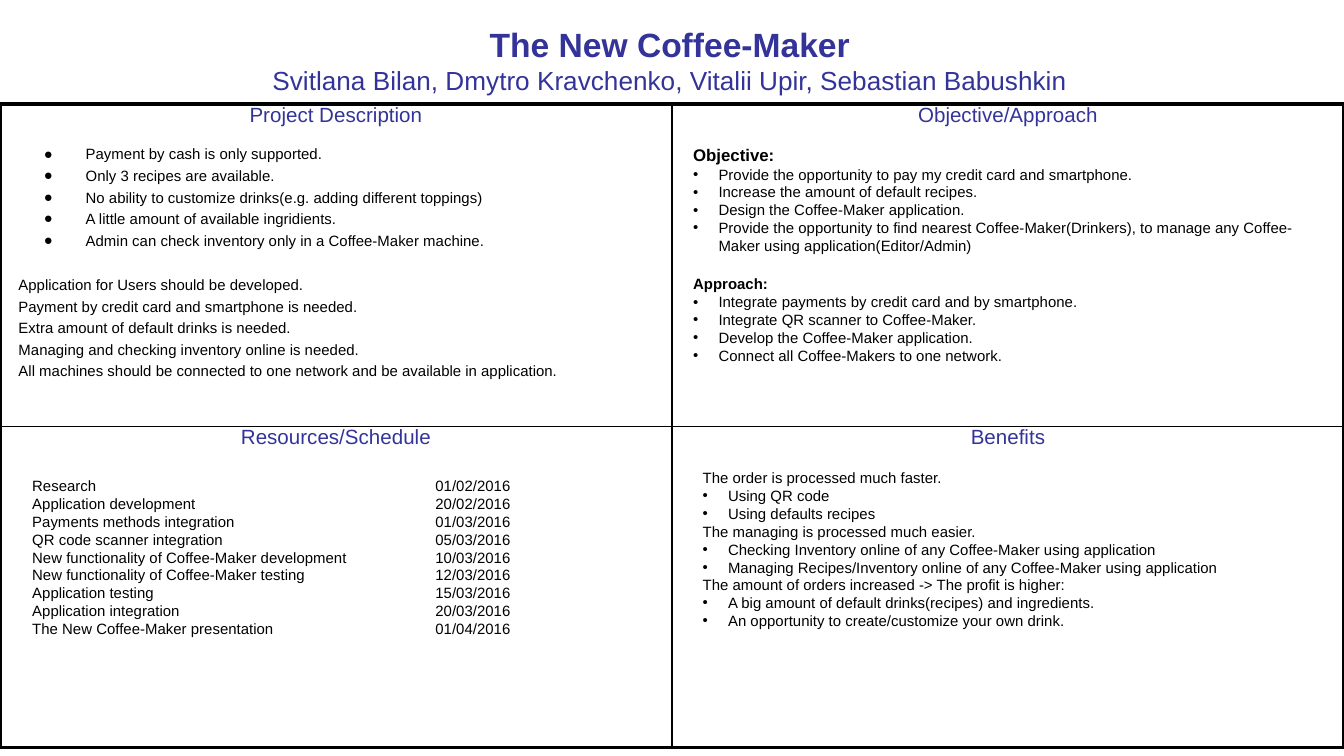
import dataclasses

import pptx
import pptx.dml.color
import pptx.enum.text
import pptx.oxml
import pptx.oxml.ns
import pptx.util
from pptx.util import Cm, Pt


@dataclasses.dataclass(frozen=True)
class Theme:
    """Colours, font and type sizes of the slide."""
    font: str = "Arial"
    accent: str = "333399"
    ink: str = "000000"
    title: int = 18
    authors: int = 14
    heading: int = 11
    objective: int = 9
    body: int = 8
    frame: float = 2.25
    divider: float = 1


@dataclasses.dataclass(frozen=True)
class Line:
    """One paragraph of a quadrant."""
    text: str
    size: int = Theme.body
    bold: bool = False
    bullet: str = ""
    hanging: tuple = (0.48, 0.48)
    before: float = 0


THEME = Theme()
CENTER = pptx.enum.text.PP_ALIGN.CENTER
QUADRANTS = [["Project Description", "Objective/Approach"],
             ["Resources/Schedule", "Benefits"]]
SCHEDULE = [
    ("Research", "01/02/2016"),
    ("Application development", "20/02/2016"),
    ("Payments methods integration", "01/03/2016"),
    ("QR code scanner integration", "05/03/2016"),
    ("New functionality of Coffee-Maker development", "10/03/2016"),
    ("New functionality of Coffee-Maker testing", "12/03/2016"),
    ("Application testing", "15/03/2016"),
    ("Application integration", "20/03/2016"),
    ("The New Coffee-Maker presentation", "01/04/2016"),
]


def bullets(*texts, **options):
    """Return bulleted lines that share the same options."""
    return [Line(text, **{"bullet": "•", **options}) for text in texts]


def add_xml(parent, tag, inner="", **attributes):
    """Append a DrawingML element to a parent."""
    listed = " ".join(f'{key}="{value}"' for key, value in attributes.items())
    namespace = pptx.oxml.ns.nsdecls("a")
    parent.append(pptx.oxml.parse_xml(
        f"<a:{tag} {namespace} {listed}>{inner}</a:{tag}>"))


def format_runs(paragraph, size, color, bold=False):
    """Give all runs of a paragraph their font."""
    for run in paragraph.runs:
        run.font.name = THEME.font
        run.font.size = Pt(size)
        run.font.bold = bold
        run.font.color.rgb = pptx.dml.color.RGBColor.from_string(color)


def set_bullet(paragraph, bullet, hanging):
    """Put a hanging bullet before a paragraph."""
    properties = paragraph._p.get_or_add_pPr()
    margin, hang = hanging
    properties.set("marL", str(Cm(margin)))
    properties.set("indent", str(-Cm(hang)))
    add_xml(properties, "buFont", typeface=THEME.font)
    add_xml(properties, "buChar", char=bullet)


def set_insets(frame, horizontal, vertical):
    """Set the margins, wrapping and anchor of a text frame."""
    frame.margin_left = frame.margin_right = Cm(horizontal)
    frame.margin_top = frame.margin_bottom = Cm(vertical)
    frame.word_wrap = True
    frame.auto_size = pptx.enum.text.MSO_AUTO_SIZE.NONE
    frame.vertical_anchor = pptx.enum.text.MSO_ANCHOR.TOP


def add_title(slide, project, authors):
    """Fill the title with the project name and its authors."""
    title = slide.shapes.title
    title.left, title.top, title.width, title.height = (
        Cm(2.08), Cm(0.32), Cm(21.16), Cm(1.12))
    set_insets(title.text_frame, 0.25, 0.13)
    title.text_frame.text = f"{project}\n{authors}"
    name_line, author_line = title.text_frame.paragraphs
    name_line.alignment = author_line.alignment = CENTER
    format_runs(name_line, THEME.title, THEME.accent, bold=True)
    format_runs(author_line, THEME.authors, THEME.accent)


def set_borders(cell, widths):
    """Draw the borders of a cell, given the width for each side."""
    for side in "LRTB":
        add_xml(cell._tc.get_or_add_tcPr(), f"ln{side}",
                f'<a:solidFill><a:srgbClr val="{THEME.ink}"/></a:solidFill>',
                w=Pt(widths[side]))


def add_quadrants(slide):
    """Add the framed two-by-two table with its headings."""
    table = slide.shapes.add_table(
        2, 2, Cm(0), Cm(1.96), Cm(25.4), Cm(12.17)).table
    table.first_row = table.horz_banding = False
    for row, height in zip(table.rows, (6.1, 6.07)):
        row.height = Cm(height)
    for r, headings in enumerate(QUADRANTS):
        for c, heading in enumerate(headings):
            cell = table.cell(r, c)
            outer = ("T" if r == 0 else "B") + ("L" if c == 0 else "R")
            set_borders(cell, {side: THEME.frame if side in outer
                               else THEME.divider for side in "LRTB"})
            cell.fill.background()
            cell.margin_left = cell.margin_right = 0
            cell.margin_top = cell.margin_bottom = 0
            cell.text_frame.text = heading
            paragraph = cell.text_frame.paragraphs[0]
            paragraph.alignment = CENTER
            format_runs(paragraph, THEME.heading, THEME.accent)


def add_lines(slide, left, top, width, height, lines):
    """Add a text box with plain and bulleted lines and return its frame."""
    frame = slide.shapes.add_textbox(
        Cm(left), Cm(top), Cm(width), Cm(height)).text_frame
    set_insets(frame, 0.25, 0.25)
    frame.text = "\n".join(line.text for line in lines)
    for paragraph, line in zip(frame.paragraphs, lines):
        paragraph.space_before = Pt(line.before)
        if line.bullet:
            set_bullet(paragraph, line.bullet, line.hanging)
        format_runs(paragraph, line.size, THEME.ink, line.bold)
    return frame


def add_schedule(slide):
    """Add the schedule, its dates aligned at a tab stop."""
    lines = [Line(f"{task}\t{date}") for task, date in SCHEDULE]
    schedule = add_lines(slide, 0.36, 8.76, 12.01, 4.98, lines)
    for paragraph in schedule.paragraphs:
        add_xml(paragraph._p.get_or_add_pPr(), "tabLst",
                f'<a:tab pos="{Cm(7.62)}" algn="l"/>')


def main():
    """Build the slide and save it."""
    deck = pptx.Presentation()
    deck.slide_width, deck.slide_height = Cm(25.4), Cm(14.29)
    slide = deck.slides.add_slide(deck.slide_layouts[5])
    add_title(slide, "The New Coffee-Maker",
              "Svitlana Bilan, Dmytro Kravchenko, Vitalii Upir, "
              "Sebastian Babushkin")
    add_quadrants(slide)
    add_lines(slide, 13.03, 8.61, 12.01, 5.16, [
        Line("The order is processed much faster."),
        *bullets("Using QR code", "Using defaults recipes"),
        Line("The managing is processed much easier."),
        *bullets("Checking Inventory online of any Coffee-Maker using application",
                 "Managing Recipes/Inventory online of any Coffee-Maker "
                 "using application"),
        Line("The amount of orders increased -> The profit is higher:"),
        *bullets("A big amount of default drinks(recipes) and ingredients.",
                 "An opportunity to create/customize your own drink."),
    ])
    add_schedule(slide)
    needs = ["Payment by credit card and smartphone is needed.",
             "Extra amount of default drinks is needed.",
             "Managing and checking inventory online is needed.",
             "All machines should be connected to one network and be "
             "available in application."]
    add_lines(slide, 0.1, 2.49, 12.47, 5.41, [
        *bullets("Payment by cash is only supported.",
                 "Only 3 recipes are available.",
                 "No ability to customize drinks(e.g. adding different toppings)",
                 "A little amount of available ingridients.",
                 "Admin can check inventory only in a Coffee-Maker machine.",
                 bullet="●", hanging=(1.27, 0.79), before=2),
        Line("Application for Users should be developed.", before=14),
        *[Line(need, before=2) for need in needs],
    ])
    add_lines(slide, 12.85, 2.49, 12.01, 5.11, [
        Line("Objective:", size=THEME.objective, bold=True),
        *bullets("Provide the opportunity to pay my credit card and smartphone.",
                 "Increase the amount of default recipes.",
                 "Design the Coffee-Maker application.",
                 "Provide the opportunity to find nearest Coffee-Maker(Drinkers), "
                 "to manage any Coffee-Maker using application(Editor/Admin)"),
        Line("Approach:", bold=True, before=11),
        *bullets("Integrate payments by credit card and by smartphone.",
                 "Integrate QR scanner to Coffee-Maker.",
                 "Develop the Coffee-Maker application.",
                 "Connect all Coffee-Makers to one network."),
    ])
    deck.save("out.pptx")


main()
